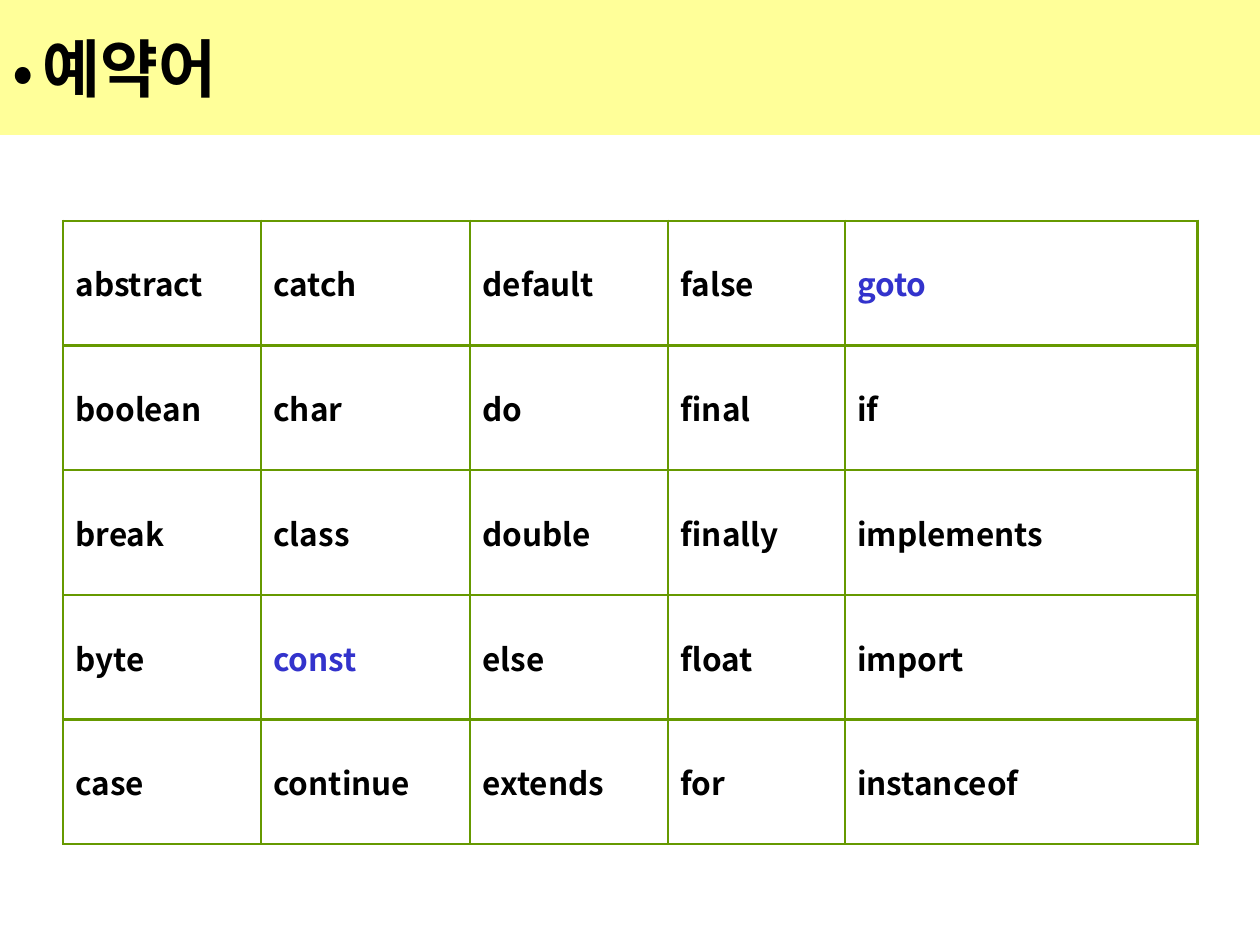
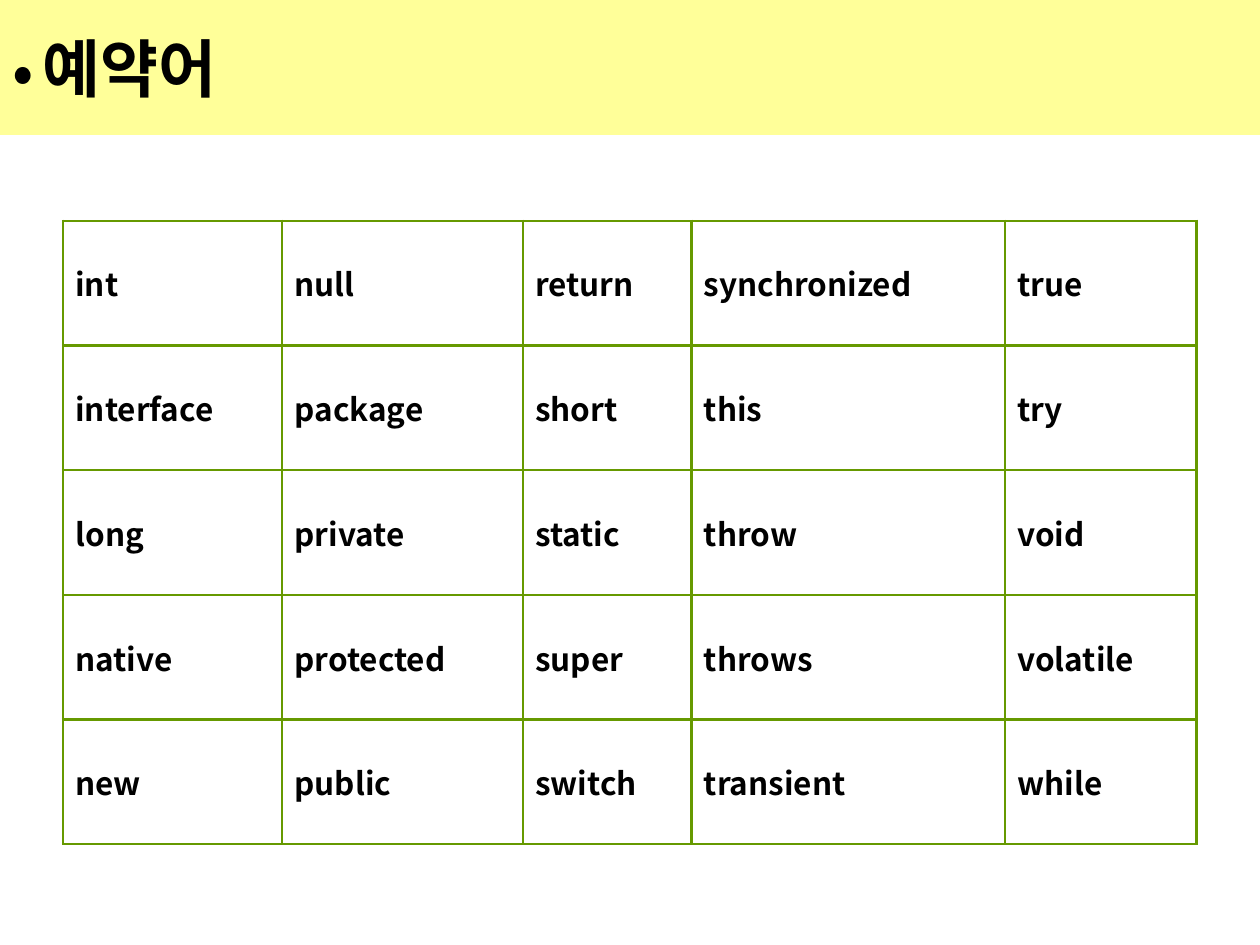
from lxml.etree import SubElement
from pptx import Presentation
from pptx.dml.color import RGBColor
from pptx.enum.shapes import MSO_SHAPE as Shape
from pptx.enum.text import MSO_ANCHOR as Anchor, PP_ALIGN as Align
from pptx.oxml.ns import qn
from pptx.util import Cm, Pt

FONT = "Noto Sans CJK KR"
BLACK, BLUE, GREEN, YELLOW = "000000", "3333CC", "669900", "FFFF99"
INSETS = dict(margin_left=Cm(0.25), margin_right=Cm(0.25),
              margin_top=Cm(0.13), margin_bottom=Cm(0.13))
TITLE_FONT = dict(size=Pt(36), bold=True, name=FONT)
WORD_FONT = dict(size=Pt(18), bold=True, name=FONT)
UNUSED_WORDS = {"goto", "const"}
ROW_COUNT = 5

KEYWORD_TABLES = [
    [(3.99, "abstract boolean break byte case"),
     (4.22, "catch char class const continue"),
     (3.99, "default do double else extends"),
     (3.56, "false final finally float for"),
     (7.11, "goto if implements import instanceof")],
    [(4.42, "int interface long native new"),
     (4.85, "null package private protected public"),
     (3.4, "return short static super switch"),
     (6.32, "synchronized this throw throws transient"),
     (3.86, "true try void volatile while")],
]


def color(hex_value):
    return RGBColor.from_string(hex_value)


def apply(target, values):
    for name, value in values.items():
        setattr(target, name, value)


def add_run(p, text, font, hex_value):
    r = p.add_run()
    r.text = text
    r.font.color.rgb = color(hex_value)
    apply(r.font, font)
    SubElement(r.font._element, qn("a:ea"), typeface=FONT)


def add_bullet(p, indent):
    pPr = p._p.get_or_add_pPr()
    pPr.set("marL", str(indent))
    pPr.set("indent", str(-indent))
    bullet_color = SubElement(pPr, qn("a:buClr"))
    SubElement(bullet_color, qn("a:srgbClr"), val=BLACK)
    SubElement(pPr, qn("a:buFont"), typeface=FONT)
    SubElement(pPr, qn("a:buChar"), char="•")


def add_title(slide, text, width):
    sp = slide.shapes.add_shape(Shape.RECTANGLE, 0, 0, width, Cm(2.72))
    sp.shadow.inherit = False
    sp.fill.solid()
    sp.fill.fore_color.rgb = color(YELLOW)
    sp.line.fill.background()
    tf = sp.text_frame
    apply(tf, INSETS | dict(word_wrap=True, vertical_anchor=Anchor.MIDDLE))
    p = tf.paragraphs[0]
    p.alignment = Align.LEFT
    add_bullet(p, Cm(0.6))
    add_run(p, text, TITLE_FONT, BLACK)


def add_borders(cell):
    tcPr = cell._tc.get_or_add_tcPr()
    for side in ("lnL", "lnR", "lnT", "lnB"):
        ln = SubElement(tcPr, qn(f"a:{side}"), w=str(Pt(1.47)))
        fill = SubElement(ln, qn("a:solidFill"))
        SubElement(fill, qn("a:srgbClr"), val=GREEN)


def fill_cell(cell, word):
    add_borders(cell)
    cell.fill.background()
    apply(cell, INSETS | dict(vertical_anchor=Anchor.MIDDLE))
    ink = BLUE if word in UNUSED_WORDS else BLACK
    add_run(cell.text_frame.paragraphs[0], word, WORD_FONT, ink)


def add_keyword_table(slide, columns):
    width = Cm(sum(w for w, _ in columns))
    frame = slide.shapes.add_table(ROW_COUNT, len(columns), Cm(1.27), Cm(4.45),
                                   width, Cm(12.57))
    table = frame.table
    apply(table, dict(first_row=False, horz_banding=False))
    for c, (col_width, words) in enumerate(columns):
        table.columns[c].width = Cm(col_width)
        for r, word in enumerate(words.split()):
            fill_cell(table.cell(r, c), word)


def main():
    prs = Presentation()
    apply(prs, dict(slide_width=Cm(25.4), slide_height=Cm(19.05)))
    for columns in KEYWORD_TABLES:
        slide = prs.slides.add_slide(prs.slide_layouts[6])
        add_title(slide, "예약어", prs.slide_width)
        add_keyword_table(slide, columns)
    prs.save("out.pptx")


if __name__ == "__main__":
    main()
